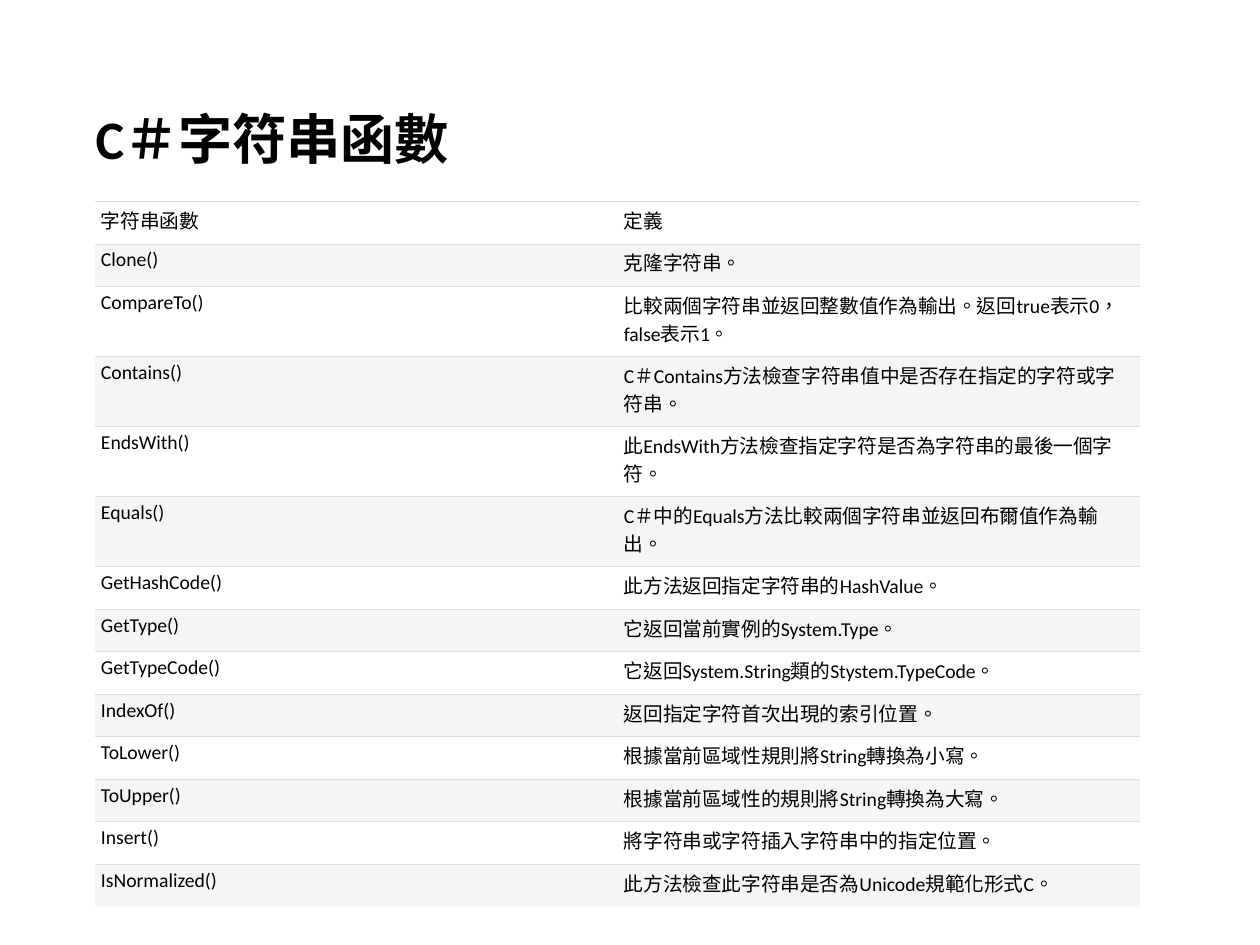
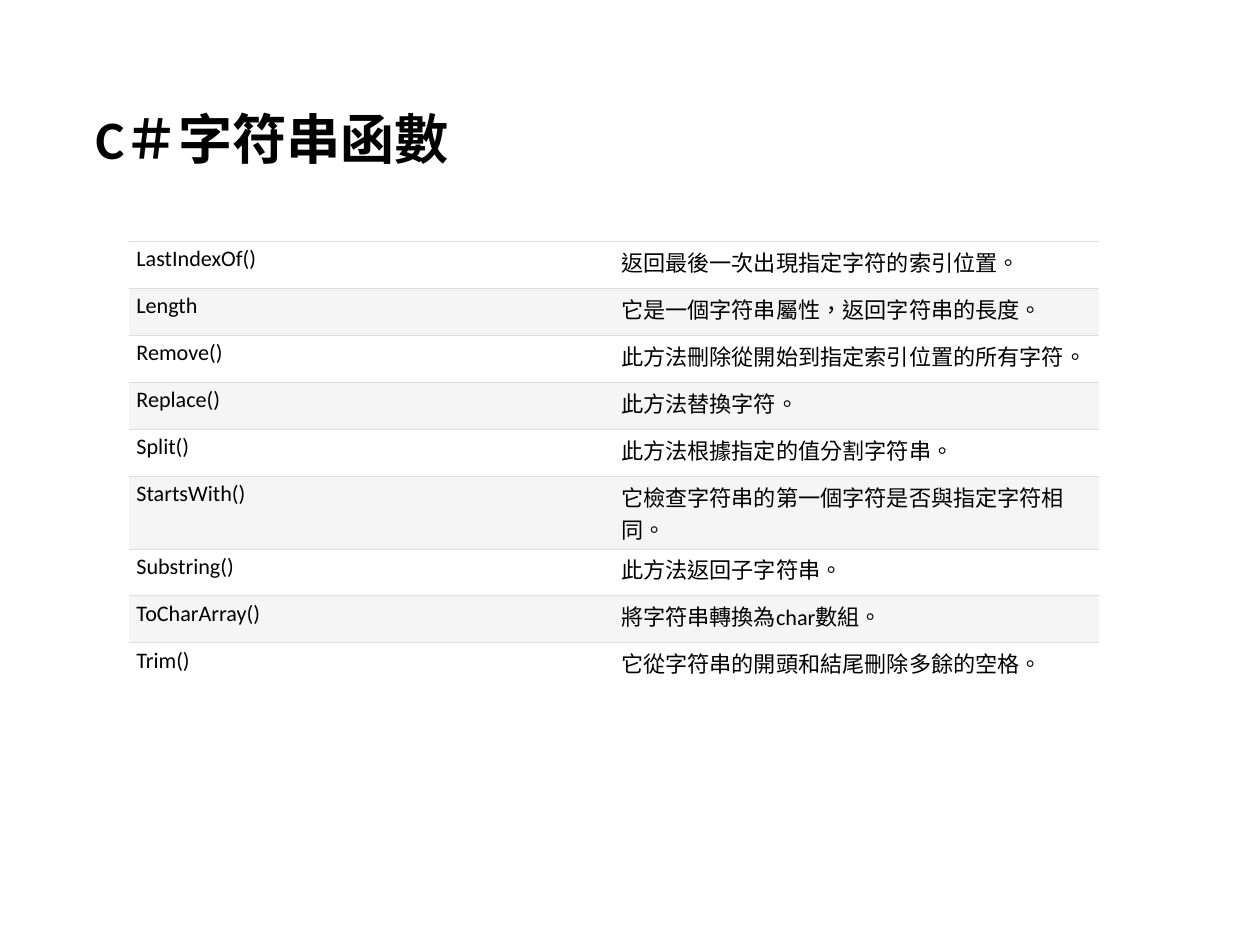
from dataclasses import dataclass
from typing import Any

import lxml.etree
import pptx
import pptx.dml.color
import pptx.enum.lang
import pptx.enum.text
import pptx.oxml.ns
import pptx.util

EMU_PER_PX = 9144
PLAIN_TABLE_STYLE = "{2D5ABB26-0587-4C30-8999-92F81FD0307C}"


@dataclass(frozen=True)
class Theme:
    font: str = "Calibri"
    ink: str = "000000"
    bands: tuple[str, str] = ("FFFFFF", "F5F5F5")
    rule: str = "DDDDDD"
    rule_width: float = 0.34
    title_size: int = 44
    title_spacing: float = 0.9


@dataclass(frozen=True)
class Box:
    left: int
    top: int
    width: int
    height: int

    def emu(self) -> list[int]:
        return [px(n) for n in (self.left, self.top, self.width, self.height)]


@dataclass(frozen=True)
class Entry:
    name: str
    meaning: str
    lines: int = 1


@dataclass(frozen=True)
class FunctionTable:
    left: int
    top: int
    column_width: int
    row_heights: dict[int, int]
    side_margin: int
    text_size: int
    entries: tuple[Entry, ...]


THEME = Theme()
PAGE_WIDTH, PAGE_HEIGHT = 1422, 1066
TITLE = "C＃字符串函數"
TITLE_BOX = Box(98, 57, 1227, 206)
CELL_MARGIN = 5

TABLES = (
    FunctionTable(107, 227, 590, {1: 48, 2: 79}, 7, 16, (
        Entry("字符串函數", "定義"),
        Entry("Clone()", "克隆字符串。"),
        Entry("CompareTo()", "比較兩個字符串並返回整數值作為輸出。返回true表示0，false表示1。", 2),
        Entry("Contains()", "C＃Contains方法檢查字符串值中是否存在指定的字符或字符串。", 2),
        Entry("EndsWith()", "此EndsWith方法檢查指定字符是否為字符串的最後一個字符。", 2),
        Entry("Equals()", "C＃中的Equals方法比較兩個字符串並返回布爾值作為輸出。", 2),
        Entry("GetHashCode()", "此方法返回指定字符串的HashValue。"),
        Entry("GetType()", "它返回當前實例的System.Type。"),
        Entry("GetTypeCode()", "它返回System.String類的Stystem.TypeCode。"),
        Entry("IndexOf()", "返回指定字符首次出現的索引位置。"),
        Entry("ToLower()", "根據當前區域性規則將String轉換為小寫。"),
        Entry("ToUpper()", "根據當前區域性的規則將String轉換為大寫。"),
        Entry("Insert()", "將字符串或字符插入字符串中的指定位置。"),
        Entry("IsNormalized()", "此方法檢查此字符串是否為Unicode規範化形式C。"),
    )),
    FunctionTable(146, 272, 547, {1: 53, 2: 82}, 8, 18, (
        Entry("LastIndexOf()", "返回最後一次出現指定字符的索引位置。"),
        Entry("Length", "它是一個字符串屬性，返回字符串的長度。"),
        Entry("Remove()", "此方法刪除從開始到指定索引位置的所有字符。"),
        Entry("Replace()", "此方法替換字符。"),
        Entry("Split()", "此方法根據指定的值分割字符串。"),
        Entry("StartsWith()", "它檢查字符串的第一個字符是否與指定字符相同。", 2),
        Entry("Substring()", "此方法返回子字符串。"),
        Entry("ToCharArray()", "將字符串轉換為char數組。"),
        Entry("Trim()", "它從字符串的開頭和結尾刪除多餘的空格。"),
    )),
)


def px(length: int) -> int:
    return length * EMU_PER_PX


def apply(target: Any, values: dict[str, Any]) -> None:
    for name, value in values.items():
        setattr(target, name, value)


def write(para: Any, text: str, size: int, bold: bool = False) -> None:
    para._p.get_or_add_pPr().set("hangingPunct", "0")
    span = para.add_run()
    span.text = text
    apply(span.font, {
        "name": THEME.font,
        "size": pptx.util.Pt(size),
        "bold": bold,
        "language_id": pptx.enum.lang.MSO_LANGUAGE_ID.TRADITIONAL_CHINESE,
    })
    span.font.color.rgb = pptx.dml.color.RGBColor.from_string(THEME.ink)


def add_title(page: Any) -> None:
    frame = page.shapes.add_textbox(*TITLE_BOX.emu()).text_frame
    apply(frame, {
        "word_wrap": True,
        "vertical_anchor": pptx.enum.text.MSO_ANCHOR.MIDDLE,
    })
    para = frame.paragraphs[0]
    para.line_spacing = THEME.title_spacing
    write(para, TITLE, THEME.title_size, bold=True)


def add_rule(cell: Any, tag: str) -> None:
    qn = pptx.oxml.ns.qn
    width = str(int(pptx.util.Pt(THEME.rule_width)))
    line = lxml.etree.SubElement(cell._tc.get_or_add_tcPr(), qn(tag), w=width)
    fill = lxml.etree.SubElement(line, qn("a:solidFill"))
    lxml.etree.SubElement(fill, qn("a:srgbClr"), val=THEME.rule)


def fill_cell(cell: Any, text: str, band: str, rules: list[str], table: FunctionTable) -> None:
    apply(cell, {
        "margin_left": px(table.side_margin),
        "margin_right": px(table.side_margin),
        "margin_top": px(CELL_MARGIN),
        "margin_bottom": px(CELL_MARGIN),
    })
    for tag in rules:
        add_rule(cell, tag)
    cell.fill.solid()
    cell.fill.fore_color.rgb = pptx.dml.color.RGBColor.from_string(band)
    write(cell.text_frame.paragraphs[0], text, table.text_size)


def add_function_table(page: Any, table: FunctionTable) -> None:
    heights = [table.row_heights[entry.lines] for entry in table.entries]
    box = Box(table.left, table.top, 2 * table.column_width, sum(heights))
    grid = page.shapes.add_table(len(heights), 2, *box.emu()).table
    apply(grid, {"first_row": False, "horz_banding": False})
    grid._tbl.tblPr.find(pptx.oxml.ns.qn("a:tableStyleId")).text = PLAIN_TABLE_STYLE
    for index, (entry, height) in enumerate(zip(table.entries, heights)):
        grid.rows[index].height = px(height)
        is_last = index == len(heights) - 1
        rules = ["a:lnT"] if is_last else ["a:lnT", "a:lnB"]
        band = THEME.bands[index % 2]
        for column, text in enumerate((entry.name, entry.meaning)):
            fill_cell(grid.cell(index, column), text, band, rules, table)


def main() -> None:
    deck = pptx.Presentation()
    apply(deck, {"slide_width": px(PAGE_WIDTH), "slide_height": px(PAGE_HEIGHT)})
    for table in TABLES:
        page = deck.slides.add_slide(deck.slide_layouts[6])
        add_title(page)
        add_function_table(page, table)
    deck.save("out.pptx")


if __name__ == "__main__":
    main()
